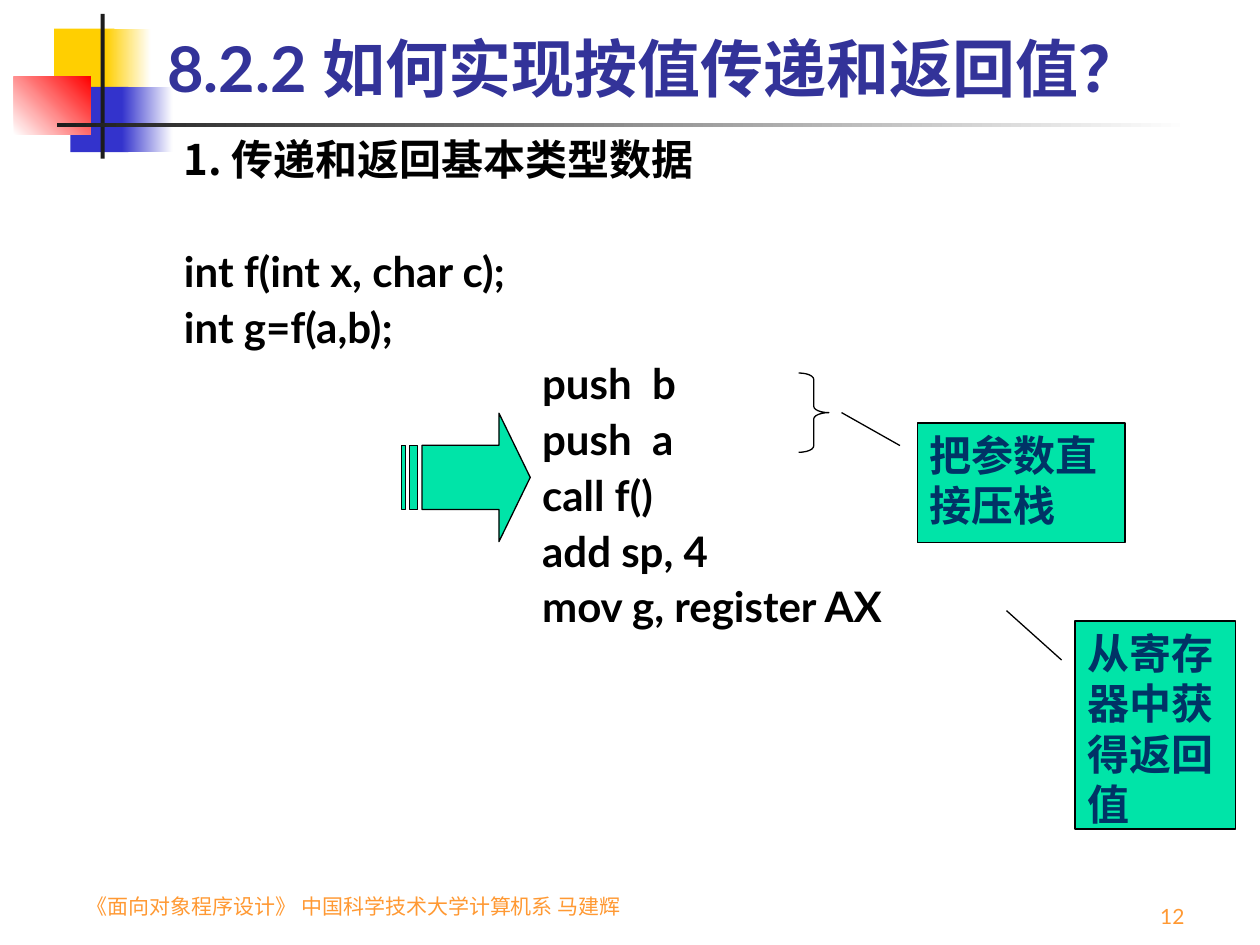
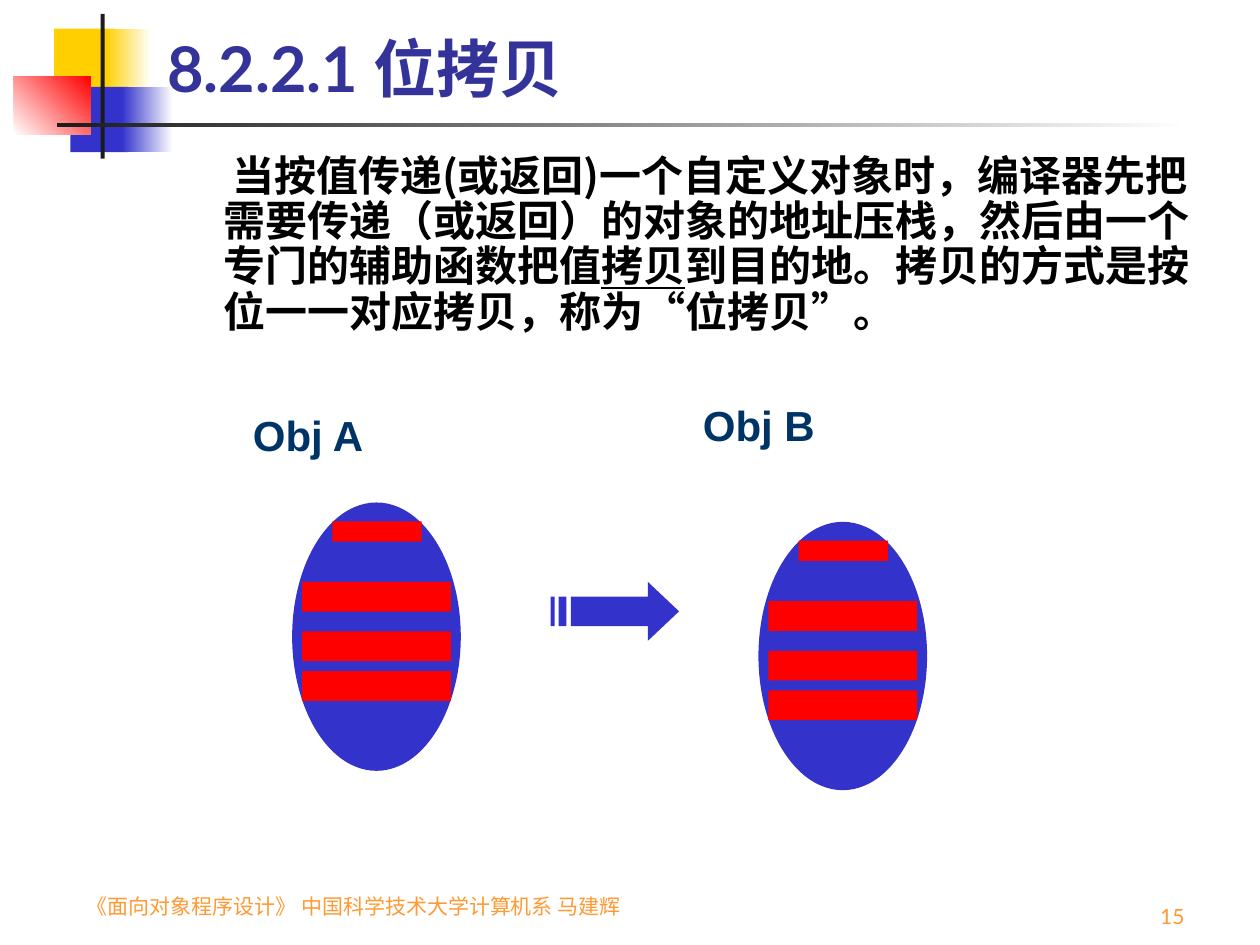
from pptx import Presentation, util as u
from pptx.dml.color import RGBColor
from pptx.enum import shapes as es, text as et
from pptx.oxml.ns import qn
from lxml import etree

HUES = {
    "gold": "FFCF01", "blue": "3333CC", "red": "FF0000", "dark": "1C1C1C",
    "white": "FFFFFF", "black": "000000", "mint": "00E4A8", "navy": "003366",
    "title": "333399", "foot": "FF9933",
}
HAN = "Noto Sans CJK SC"
KIND = es.MSO_SHAPE


def hue(name):
    return RGBColor.from_string(HUES[name])


def put(frame, words, size=24, color="black", font="Lato", bold=True,
        left=0, first=0, before=0, line=None, align=None, more=False):
    para = frame.add_paragraph() if more else frame.paragraphs[0]
    para.space_before = u.Pt(before)
    para.line_spacing = line
    para.alignment = align or et.PP_ALIGN.LEFT
    props = para._p.get_or_add_pPr()
    props.set("marL", str(u.Cm(left)))
    props.set("indent", str(u.Cm(first)))
    runs = [(words, {})] if isinstance(words, str) else words
    for bit, look in runs:
        run = para.add_run()
        run.text = bit
        face = run.font
        face.size, face.bold = u.Pt(size), bold
        face.color.rgb = hue(color)
        face.underline = look.get("line")
        face.name = look.get("font", font)
        east = etree.SubElement(face._element, qn("a:ea"))
        east.set("typeface", HAN)


class Deck:
    def __init__(self):
        self.show = Presentation()
        self.show.slide_width = u.Cm(25.4)
        self.show.slide_height = u.Cm(19.05)
        self.page = None

    def start(self, head, number):
        self.page = self.show.slides.add_slide(self.show.slide_layouts[5])
        self.band()
        title = self.page.shapes.title
        title.left, title.top = u.Cm(3.12), u.Cm(0.28)
        title.width, title.height = u.Cm(21.64), u.Cm(1.96)
        frame = title.text_frame
        frame.word_wrap = True
        frame.auto_size = et.MSO_AUTO_SIZE.NONE
        frame.vertical_anchor = et.MSO_ANCHOR.BOTTOM
        put(frame, head, size=36, color="title")
        self.page.shapes._spTree.append(title._element)
        small = dict(size=12, color="foot", bold=False)
        low = et.MSO_ANCHOR.BOTTOM
        put(self.box(1.5, 17.53, 11.4, 1.12, low),
            "《面向对象程序设计》 中国科学技术大学计算机系 马建辉", **small)
        put(self.box(18.85, 17.58, 5.28, 1.27, low), str(number),
            align=et.PP_ALIGN.RIGHT, **small)

    def band(self):
        self.shape(1.09, 0.58, 1.22, 1.32, "gold")
        self.fade(2.13, 0.58, 0.91, 1.32, "gold", "white")
        self.shape(1.42, 1.75, 1.17, 1.32, "blue")
        self.fade(2.46, 1.75, 1.02, 1.32, "blue", "white")
        self.fade(0.28, 1.55, 1.55, 1.17, "white", "red", 45)
        self.shape(2.03, 0.28, 0.08, 2.92, "dark")
        self.fade(1.14, 2.49, 22.86, 0.08, "dark", "white")

    def paint(self, item, fill=None, edge=None):
        item.shadow.inherit = False
        if fill:
            item.fill.solid()
            item.fill.fore_color.rgb = hue(fill)
        else:
            item.fill.background()
        if edge:
            item.line.color.rgb = hue(edge)
            item.line.width = u.Pt(0.75)
        else:
            item.line.fill.background()
        return item

    def shape(self, x, y, w, h, fill=None, edge=None, kind=KIND.RECTANGLE):
        item = self.page.shapes.add_shape(
            kind, u.Cm(x), u.Cm(y), u.Cm(w), u.Cm(h))
        return self.paint(item, fill, edge)

    def fade(self, x, y, w, h, start, end, angle=0):
        fill = self.shape(x, y, w, h).fill
        fill.gradient()
        fill.gradient_angle = angle
        for stop, name, place in zip(fill.gradient_stops, (start, end), (0, 1)):
            stop.color.rgb = hue(name)
            stop.position = place

    def box(self, x, y, w, h, anchor=et.MSO_ANCHOR.TOP):
        frame = self.page.shapes.add_textbox(
            u.Cm(x), u.Cm(y), u.Cm(w), u.Cm(h)).text_frame
        frame.word_wrap = True
        frame.vertical_anchor = anchor
        return frame

    def arrow(self, x, y, h, fill, edge=None):
        def spot(dx, dy):
            return u.Cm(x + dx), u.Cm(y + dy * h)

        neck, tip = 1.96, 2.59
        head = [(neck, 0), (neck, 0.25), (0.41, 0.25), (0.41, 0.75),
                (neck, 0.75), (neck, 1), (tip, 0.5)]
        bars = [[(a, 0.25), (a, 0.75), (b, 0.75), (b, 0.25)]
                for a, b in ((0.16, 0.32), (0, 0.08))]
        pen = self.page.shapes.build_freeform(*spot(*head[0]))
        pen.add_line_segments([spot(*p) for p in head[1:]])
        for bar in bars:
            pen.move_to(*spot(*bar[0]))
            pen.add_line_segments([spot(*p) for p in bar[1:]])
        self.paint(pen.convert_to_shape(), fill, edge)

    def brace(self, x, y, w, h):
        item = self.shape(x, y, w, h, edge="black", kind=KIND.RIGHT_BRACE)
        item.adjustments[0] = 0.21

    def note(self, x, y, w, h, words, rise, reach):
        item = self.shape(x, y, w, h, "mint", "black", KIND.LINE_CALLOUT_1)
        for i, value in enumerate((0.188, -0.083, rise, reach)):
            item.adjustments[i] = value
        frame = item.text_frame
        frame.word_wrap = True
        frame.vertical_anchor = et.MSO_ANCHOR.TOP
        put(frame, words, color="navy", font="Arial")

    def label(self, x, y, words):
        put(self.box(x, y, 5.94, 1.07), words, color="navy", font="Arial",
            before=6, line=0.8)

    def cell(self, x, y):
        self.shape(x, y, 3.4, 5.41, "blue", kind=KIND.OVAL)
        for drop in (1.6, 2.6, 3.4):
            self.shape(x + 0.2, y + drop, 3, 0.6, "red")
        self.shape(x + 0.81, y + 0.38, 1.8, 0.41, "red")


deck = Deck()

deck.start("8.2.2 如何实现按值传递和返回值？", 12)
body = deck.box(3.28, 2.69, 21.59, 15.27)
put(body, "1. 传递和返回基本类型数据", font=HAN, left=0.18, before=6, line=0.9)
for words, left, before in (
        ("int f(int x, char c);", 0.18, 38), ("int g=f(a,b);", 0.18, 6),
        ("push  b", 7.4, 6), ("push  a", 7.4, 6), ("call f()", 7.4, 6),
        ("add sp, 4", 7.4, 6), ("mov g, register AX", 7.4, 6)):
    put(body, words, left=left, before=before, line=0.9, more=True)
deck.arrow(8.1, 8.33, 2.59, "mint", "black")
deck.brace(16.1, 7.52, 0.61, 1.6)
deck.note(18.49, 8.53, 4.19, 2.41, "把参数直接压栈", -0.088, -0.364)
deck.note(21.67, 12.52, 3.23, 4.19, "从寄存器中获得返回值", -0.05, -0.427)

deck.start("8.2.2.1 位拷贝", 15)
quote = {"font": "Arial"}
put(deck.box(3.28, 3, 21.59, 14.96), [
    ("当按值传递(或返回)一个自定义对象时，编译器先把需要传递（或返回）的对象的"
     "地址压栈，然后由一个专门的辅助函数把值", {}),
    ("拷贝", {"line": True}),
    ("到目的地。拷贝的方式是按位一一对应拷贝，称为", {}),
    ("“", quote), ("位拷贝", {}), ("”", quote), ("。", {}),
], font=HAN, left=0.97, first=0.18, before=6, line=0.9)
deck.arrow(11.1, 11.73, 1.19, "blue")
for x, y in ((5.89, 10.13), (15.29, 10.52)):
    deck.cell(x, y)
deck.label(4.85, 8.33, "Obj A")
deck.label(13.92, 8.13, "Obj B")

deck.show.save("out.pptx")
